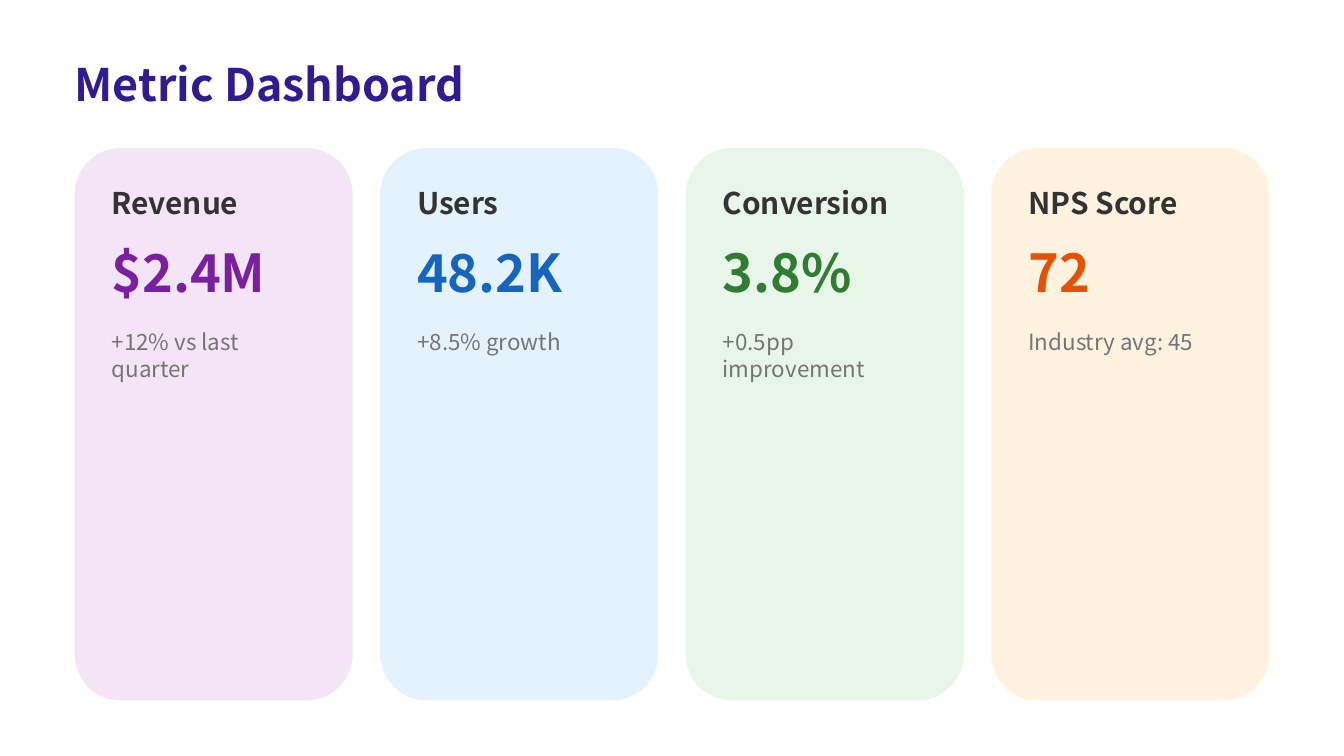
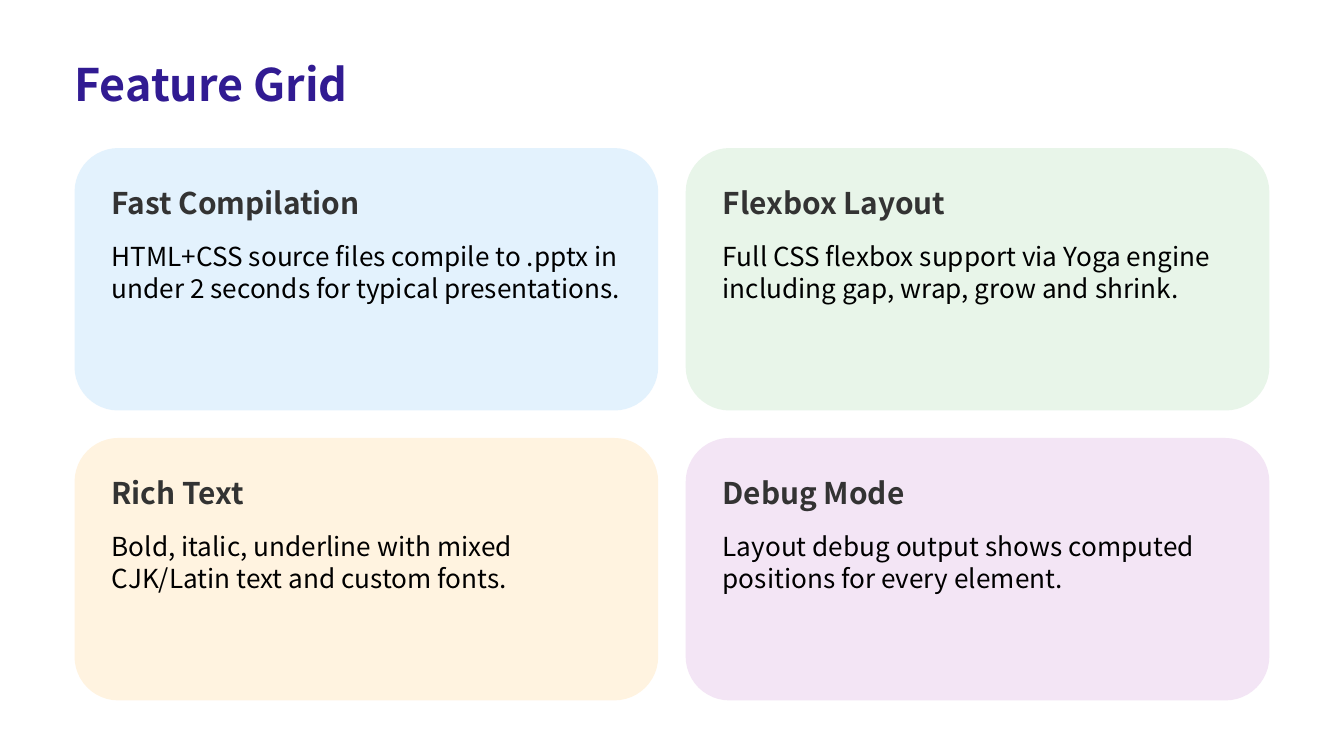
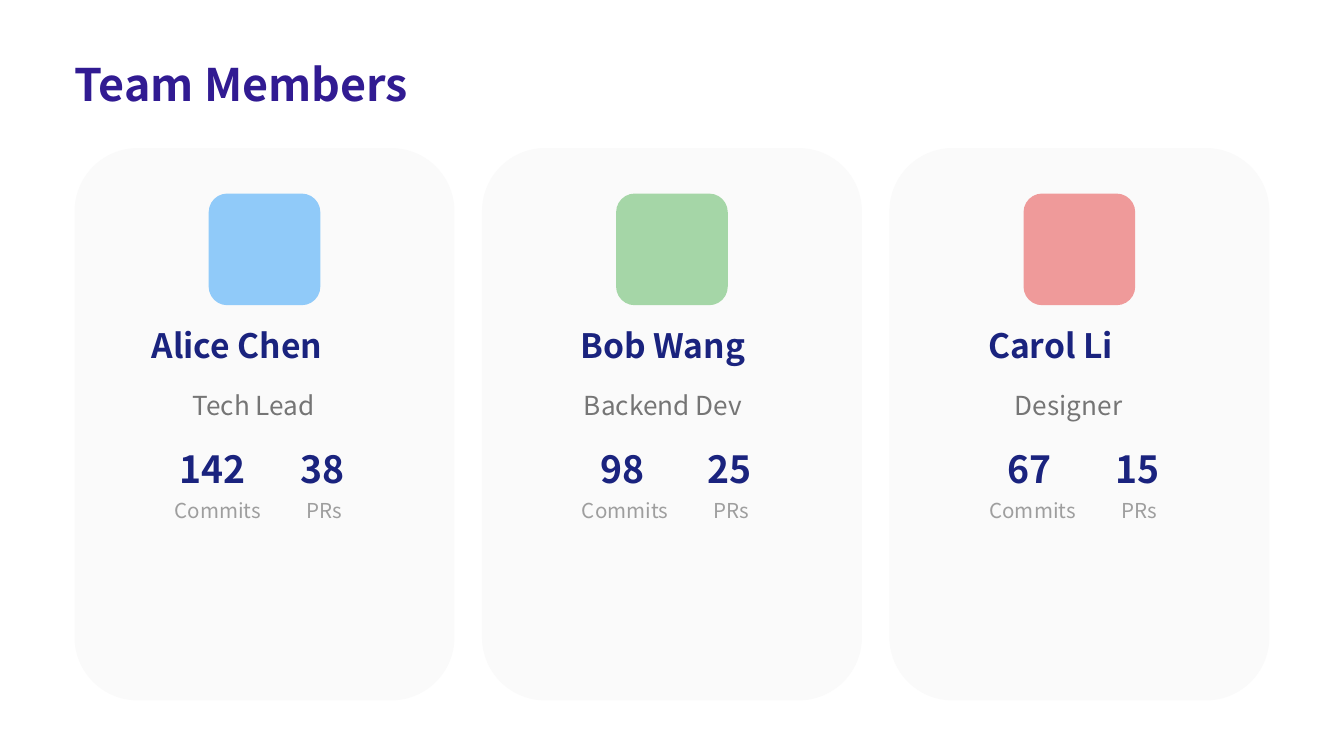
from pptx import Presentation
from pptx.dml.color import RGBColor
from pptx.enum.shapes import MSO_SHAPE
from pptx.enum.text import MSO_ANCHOR, MSO_AUTO_SIZE, PP_ALIGN
from pptx.util import Cm, Pt

ROUNDED = MSO_SHAPE.ROUNDED_RECTANGLE
TOP = MSO_ANCHOR.TOP
LEFT = PP_ALIGN.LEFT
NO_AUTOFIT = MSO_AUTO_SIZE.NONE

FONT = "Noto Sans CJK SC"
INDIGO = RGBColor(0x31, 0x1B, 0x92)
NAVY = RGBColor(0x1A, 0x23, 0x7E)
BLACK = RGBColor(0x00, 0x00, 0x00)
CHARCOAL = RGBColor(0x33, 0x33, 0x33)
GRAY = RGBColor(0x75, 0x75, 0x75)
SILVER = RGBColor(0x9E, 0x9E, 0x9E)
OFF_WHITE = RGBColor(0xFA, 0xFA, 0xFA)
PALE_PURPLE = RGBColor(0xF3, 0xE5, 0xF5)
PALE_BLUE = RGBColor(0xE3, 0xF2, 0xFD)
PALE_GREEN = RGBColor(0xE8, 0xF5, 0xE9)
PALE_ORANGE = RGBColor(0xFF, 0xF3, 0xE0)
PURPLE = RGBColor(0x7B, 0x1F, 0xA2)
BLUE = RGBColor(0x15, 0x65, 0xC0)
GREEN = RGBColor(0x2E, 0x7D, 0x32)
ORANGE = RGBColor(0xE6, 0x51, 0x00)
SKY = RGBColor(0x90, 0xCA, 0xF9)
MINT = RGBColor(0xA5, 0xD6, 0xA7)
CORAL = RGBColor(0xEF, 0x9A, 0x9A)

# Shared page grid, in centimetres
MARGIN = 1.41
CONTENT_WIDTH = 22.58
CARDS_TOP = 2.8
CARDS_HEIGHT = 10.44
GAP = 0.52
PADDING = 0.7


def write(box, text, size, color, bold=False):
    """Fill a text box or title with one left-aligned run, without insets."""
    frame = box.text_frame
    frame.word_wrap = True
    frame.auto_size = NO_AUTOFIT
    frame.vertical_anchor = TOP
    frame.margin_left = frame.margin_right = 0
    frame.margin_top = frame.margin_bottom = 0
    paragraph = frame.paragraphs[0]
    paragraph.alignment = LEFT
    run = paragraph.add_run()
    run.text = text
    run.font.name = FONT
    run.font.size = Pt(size)
    run.font.bold = bold
    run.font.color.rgb = color


def add_panel(shapes, left, top, width, height, color):
    panel = shapes.add_shape(ROUNDED, Cm(left), Cm(top), Cm(width), Cm(height))
    panel.shadow.inherit = False
    panel.fill.solid()
    panel.fill.fore_color.rgb = color
    panel.line.fill.background()


prs = Presentation()
prs.slide_width = Cm(25.4)
prs.slide_height = Cm(14.29)

slides = []
for heading in ("Metric Dashboard", "Feature Grid", "Team Members"):
    slide = prs.slides.add_slide(prs.slide_layouts[5])
    title = slide.shapes.title
    title.left, title.top = Cm(MARGIN), Cm(1.07)
    title.width, title.height = Cm(CONTENT_WIDTH), Cm(1.19)
    write(title, heading, 24, INDIGO, True)
    slides.append(slide)
dashboard, features, team = slides

# Metric Dashboard: label, value, note, note height, card colour, value colour
metrics = [
    ("Revenue", "$2.4M", "+12% vs last quarter", 1.19, PALE_PURPLE, PURPLE),
    ("Users", "48.2K", "+8.5% growth", 0.6, PALE_BLUE, BLUE),
    ("Conversion", "3.8%", "+0.5pp improvement", 1.19, PALE_GREEN, GREEN),
    ("NPS Score", "72", "Industry avg: 45", 1.19, PALE_ORANGE, ORANGE),
]
card_width = (CONTENT_WIDTH - 3 * GAP) / 4
row = dashboard.shapes.add_group_shape().shapes
for column, (label, value, note, note_height, tint, accent) in enumerate(metrics):
    left = MARGIN + column * (card_width + GAP)
    add_panel(row, left, CARDS_TOP, card_width, CARDS_HEIGHT, tint)
    for text, top, height, size, color, bold in (
        (label, 3.5, 0.81, 16, CHARCOAL, True),
        (value, 4.55, 1.42, 28, accent, True),
        (note, 6.2, note_height, 12, GRAY, False),
    ):
        box = row.add_textbox(Cm(left + PADDING), Cm(top),
                              Cm(card_width - 2 * PADDING), Cm(height))
        write(box, text, size, color, bold)

# Feature Grid: name, description, description height, card colour
feature_rows = [
    [("Fast Compilation",
      "HTML+CSS source files compile to .pptx in under 2 seconds for typical presentations.",
      2.1, PALE_BLUE),
     ("Flexbox Layout",
      "Full CSS flexbox support via Yoga engine including gap, wrap, grow and shrink.",
      2.1, PALE_GREEN)],
    [("Rich Text",
      "Bold, italic, underline with mixed CJK/Latin text and custom fonts.",
      2.1, PALE_ORANGE),
     ("Debug Mode",
      "Layout debug output shows computed positions for every element.",
      1.42, PALE_PURPLE)],
]
card_width = (CONTENT_WIDTH - GAP) / 2
card_height = (CARDS_HEIGHT - GAP) / 2
for row_number, cards in enumerate(feature_rows):
    row = features.shapes.add_group_shape().shapes
    top = CARDS_TOP + row_number * (card_height + GAP)
    for column, (name, description, description_height, tint) in enumerate(cards):
        left = MARGIN + column * (card_width + GAP)
        add_panel(row, left, top, card_width, card_height, tint)
        for text, drop, height, size, color, bold in (
            (name, PADDING, 0.81, 16, CHARCOAL, True),
            (description, 1.75, description_height, 14, BLACK, False),
        ):
            box = row.add_textbox(Cm(left + PADDING), Cm(top + drop),
                                  Cm(card_width - 2 * PADDING), Cm(height))
            write(box, text, size, color, bold)

# Team Members: name and its width, role and its width, commits, PRs, avatar colour
members = [
    ("Alice Chen", 4.27, "Tech Lead", 2.72, "142", "38", SKY),
    ("Bob Wang", 3.45, "Backend Dev", 3.33, "98", "25", MINT),
    ("Carol Li", 3.45, "Designer", 2.44, "67", "15", CORAL),
]
AVATAR = 2.11
DIGIT_WIDTH = 0.51
COMMITS_SHIFT, PRS_SHIFT = -0.84, 1.19
card_width = (CONTENT_WIDTH - 2 * GAP) / 3
row = team.shapes.add_group_shape().shapes
for column, (name, name_width, role, role_width, commits, prs_count, tint) in enumerate(members):
    left = MARGIN + column * (card_width + GAP)
    center = left + card_width / 2
    add_panel(row, left, CARDS_TOP, card_width, CARDS_HEIGHT, OFF_WHITE)
    add_panel(row, center - AVATAR / 2, 3.66, AVATAR, AVATAR, tint)
    for text, shift, top, width, height, size, color, bold in (
        (name, 0, 6.15, name_width, 0.91, 18, NAVY, True),
        (role, 0, 7.37, role_width, 0.74, 14, GRAY, False),
        (commits, COMMITS_SHIFT, 8.43, len(commits) * DIGIT_WIDTH, 0.99, 20, NAVY, True),
        ("Commits", COMMITS_SHIFT, 9.42, 1.72, 0.56, 11, SILVER, False),
        (prs_count, PRS_SHIFT, 8.43, len(prs_count) * DIGIT_WIDTH, 0.99, 20, NAVY, True),
        ("PRs", PRS_SHIFT, 9.42, 0.8, 0.56, 11, SILVER, False),
    ):
        box = row.add_textbox(Cm(center + shift - width / 2), Cm(top), Cm(width), Cm(height))
        write(box, text, size, color, bold)

prs.save("out.pptx")
